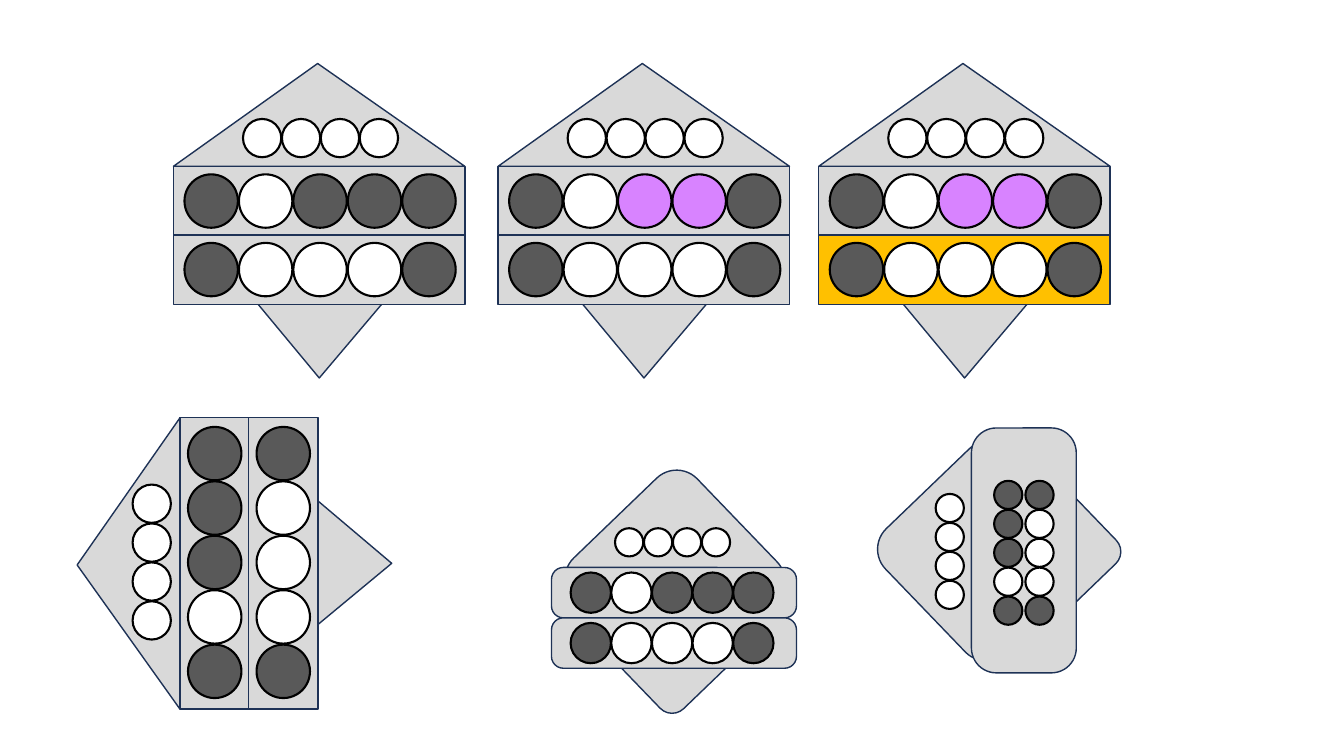
from pptx import Presentation
from pptx.dml.color import RGBColor
from pptx.enum.shapes import MSO_SHAPE as Preset
from pptx.util import Inches, Pt

GREY, DARK, WHITE, PURPLE, ORANGE = "D9D9D9", "595959", "FFFFFF", "D883FF", "FFC000"
DOT_FILLS = {"D": DARK, "W": WHITE, "P": PURPLE}


def color(value):
    return RGBColor.from_string(value)


def add_part(parent, preset, box, fill=GREY, line="1E3256", weight=1, adjust=None, turn=0):
    part = parent.shapes.add_shape(preset, *[Inches(length) for length in box])
    part.shadow.inherit = False
    part.fill.solid()
    part.fill.fore_color.rgb = color(fill)
    part.line.color.rgb = color(line)
    part.line.width = Pt(weight)
    if adjust is not None:
        part.adjustments[0] = adjust
    part.rotation = turn
    return part


def add_dots(parent, left, top, size, pitch, pattern, vertical=False):
    for index, kind in enumerate(pattern):
        shift = index * pitch
        x, y = (left, top + shift) if vertical else (left + shift, top)
        add_part(parent, Preset.OVAL, (x, y, size, size), DOT_FILLS[kind], "000000", 1.5)


def add_house(page, left, top, upper="DWDDD", lower_fill=GREY, turn=0):
    house = page.shapes.add_group_shape()
    add_part(house, Preset.ISOSCELES_TRIANGLE, (left + 0.6, top + 2.1, 1.71, 1.02),
             adjust=0.505, turn=180)
    add_part(house, Preset.ISOSCELES_TRIANGLE, (left, top, 2.89, 1.02), adjust=0.495)
    add_dots(house, left + 0.69, top + 0.55, 0.38, 0.386, "WWWW")
    rows = [(1.02, upper, GREY), (1.7, "DWWWD", lower_fill)]
    for offset, pattern, fill in rows:
        add_part(house, Preset.ROUNDED_RECTANGLE, (left, top + offset, 2.89, 0.69),
                 fill, adjust=0)
        add_dots(house, left + 0.11, top + offset + 0.08, 0.53, 0.54, pattern)
    house.rotation = turn


def add_diamonds(parent, large, small, turn):
    for (left, top), size in [(large, 1.71), (small, 0.99)]:
        add_part(parent, Preset.ROUNDED_RECTANGLE, (left, top, size, size), turn=turn)


def add_rounded_house(page):
    add_diamonds(page, (5.84, 4.9), (6.18, 5.95), 136.1)
    for top, pattern in [(5.63, "DWDDD"), (6.13, "DWWWD")]:
        add_part(page, Preset.ROUNDED_RECTANGLE, (5.47, top, 2.43, 0.5), adjust=0.237)
        add_dots(page.shapes.add_group_shape(), 5.66, top + 0.05, 0.4, 0.403, pattern)
    add_dots(page.shapes.add_group_shape(), 6.1, 5.24, 0.28, 0.287, "WWWW")


def add_side_house(page):
    house = page.shapes.add_group_shape()
    add_diamonds(house, (8.94, 4.61), (9.99, 4.97), 46.1)
    add_part(house, Preset.ROUNDED_RECTANGLE, (8.94, 4.94, 2.43, 1.04),
             adjust=0.237, turn=270)
    columns = [(9.28, 4.9, "WWWW"), (9.86, 4.77, "DDDWD"), (10.17, 4.77, "DWWWD")]
    for left, top, pattern in columns:
        add_dots(house, left, top, 0.28, 0.287, pattern, vertical=True)


def main():
    deck = Presentation()
    deck.slide_width, deck.slide_height = Inches(13.33), Inches(7.5)
    page = deck.slides.add_slide(deck.slide_layouts[6])
    add_house(page, 1.72, 0.63)
    add_house(page, 4.94, 0.63, "DWPPD")
    add_house(page, 8.12, 0.63, "DWPPD", ORANGE)
    add_house(page, 0.88, 4.03, turn=270)
    add_rounded_house(page)
    add_side_house(page)
    deck.save("out.pptx")


if __name__ == "__main__":
    main()
